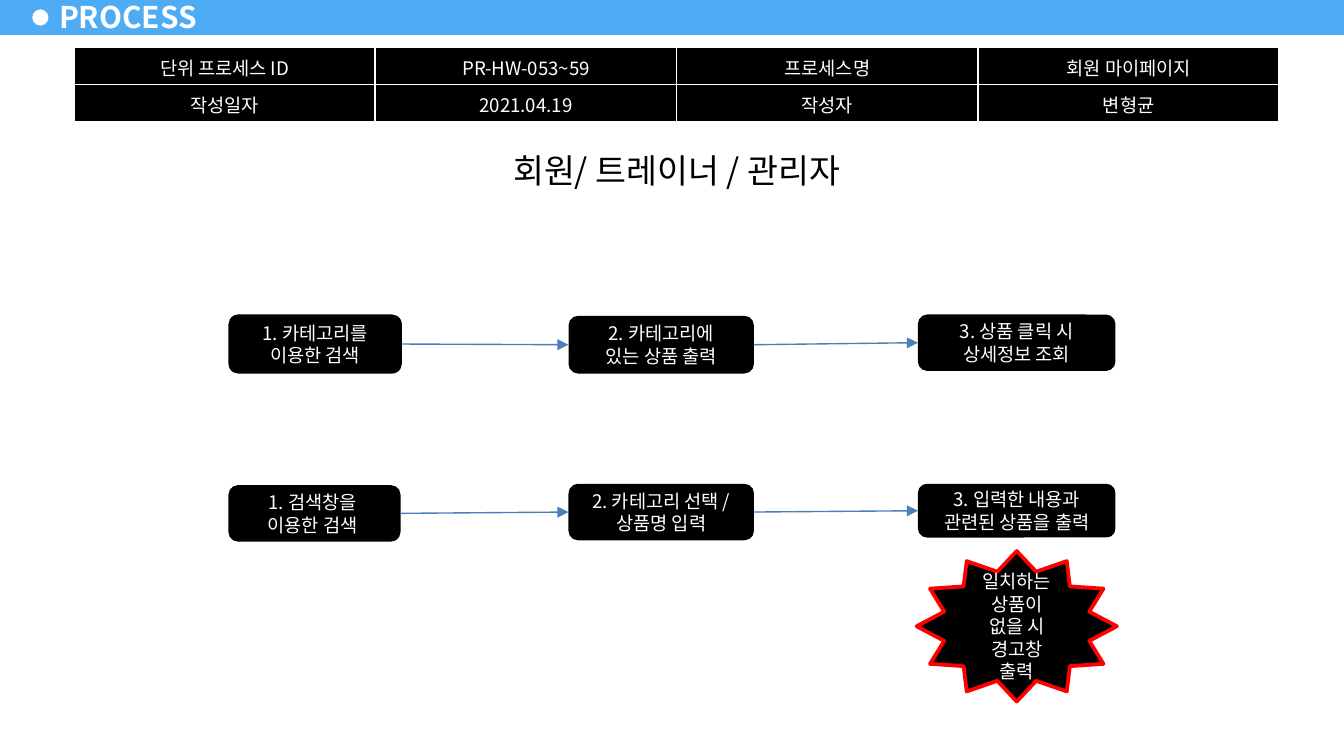
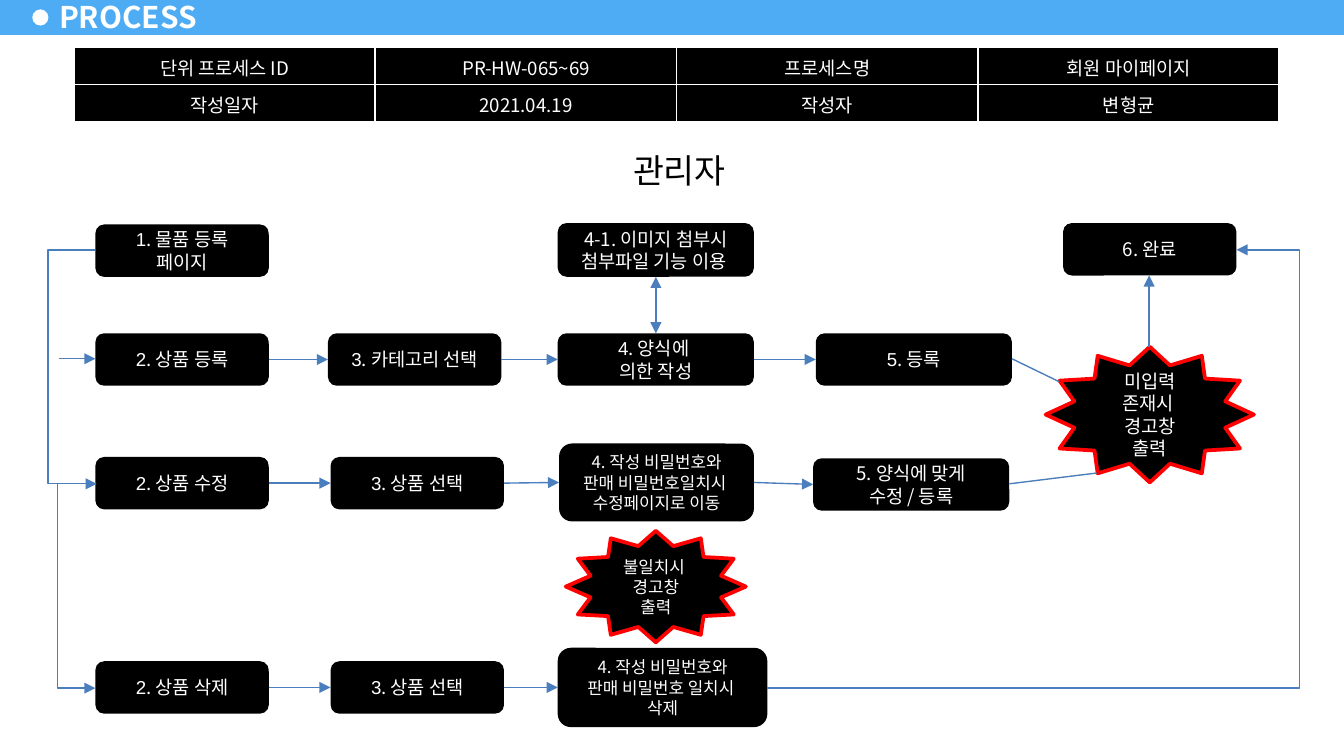
from dataclasses import dataclass
from itertools import pairwise
from typing import NamedTuple, Optional

from pptx import Presentation
from pptx.dml.color import RGBColor
from pptx.enum.shapes import MSO_CONNECTOR as Connector, MSO_SHAPE as Preset
from pptx.enum.text import MSO_ANCHOR as Anchor, MSO_AUTO_SIZE as AutoSize, PP_ALIGN as Align
from pptx.oxml.ns import qn
from pptx.util import Inches, Pt


@dataclass(frozen=True)
class Theme:
    band: RGBColor = RGBColor(0x4D, 0xAC, 0xF3)
    ink: RGBColor = RGBColor(0, 0, 0)
    paper: RGBColor = RGBColor(255, 255, 255)
    alert: RGBColor = RGBColor(255, 0, 0)
    arrow: RGBColor = RGBColor(0x4B, 0x7E, 0xBC)
    font: str = "Noto Sans CJK KR"
    digit_font: str = "Arial"
    title: int = 16
    role: int = 18
    body: int = 10
    small: int = 9
    arrow_width: float = 0.75
    alert_width: float = 2


THEME = Theme()
SLIDE_WIDTH = 10
SLIDE_HEIGHT = SLIDE_WIDTH * 9 / 16


class Area(NamedTuple):
    left: float
    top: float
    width: float
    height: float


class Step(NamedTuple):
    """A process step; digit is a step number set in the digit font."""
    area: Area
    text: str
    digit: str = ""
    size: int = THEME.body


class Warning(NamedTuple):
    area: Area
    text: str
    size: int = THEME.body


class Link(NamedTuple):
    """A line between two points; turn_x is where an elbow runs vertically."""
    start: tuple[float, float]
    end: tuple[float, float]
    turn_x: Optional[float] = None
    head: bool = False
    tail: bool = True


@dataclass(frozen=True)
class Process:
    process_id: str
    role: str
    role_area: Area
    flows: list[list[Step]]
    single_steps: list[Step]
    warnings: list[Warning]
    links: list[Link]


# Text and shapes

def set_font(font, size: int, color: RGBColor, name: str = THEME.font, bold: bool = False) -> None:
    font.size, font.bold, font.name = Pt(size), bold, name
    font.color.rgb = color
    east_asian = font._rPr.makeelement(qn("a:ea"), {"typeface": THEME.font})
    font._rPr.find(qn("a:latin")).addnext(east_asian)


def write(frame, text: str, size: int, color: RGBColor, digit: str = "",
          align: Align = Align.CENTER, bold: bool = False) -> None:
    frame.word_wrap = True
    frame.text = text
    for paragraph in frame.paragraphs:
        paragraph.alignment = align
        if not digit:
            set_font(paragraph.font, size, color, bold=bold)
    if digit:
        paragraph = frame.paragraphs[0]
        paragraph.text = ""
        for part, name in ((digit, THEME.digit_font), (text, THEME.font)):
            for line, piece in enumerate(part.split("\v")):
                if line:
                    paragraph.add_line_break()
                run = paragraph.add_run()
                run.text = piece
                set_font(run.font, size, color, name)


def add_preset(slide, preset: Preset, area: Area, fill: RGBColor):
    shape = slide.shapes.add_shape(preset, *map(Inches, area))
    shape.shadow.inherit = False
    shape.fill.solid()
    shape.fill.fore_color.rgb = fill
    shape.line.fill.background()
    return shape


def add_step(slide, step: Step):
    box = add_preset(slide, Preset.ROUNDED_RECTANGLE, step.area, THEME.ink)
    box.text_frame.vertical_anchor = Anchor.MIDDLE
    write(box.text_frame, step.text, step.size, THEME.paper, step.digit)
    return box


def add_warning(slide, warning: Warning) -> None:
    star = add_preset(slide, Preset.STAR_12_POINT, warning.area, THEME.ink)
    star.line.color.rgb = THEME.alert
    star.line.width = Pt(THEME.alert_width)
    star.text_frame.vertical_anchor = Anchor.MIDDLE
    write(star.text_frame, warning.text, warning.size, THEME.paper)


# Lines

def add_link(slide, link: Link):
    kind = Connector.STRAIGHT if link.turn_x is None else Connector.ELBOW
    line = slide.shapes.add_connector(kind, *map(Inches, link.start + link.end))
    line.line.color.rgb = THEME.arrow
    line.line.width = Pt(THEME.arrow_width)
    properties = line._element.spPr
    outline = properties.find(qn("a:ln"))
    for tag, wanted in (("a:headEnd", link.head), ("a:tailEnd", link.tail)):
        if wanted:
            outline.append(outline.makeelement(qn(tag), {"type": "triangle"}))
    properties.append(properties.makeelement(qn("a:effectLst"), {}))
    if link.turn_x is not None:
        ratio = (link.turn_x - link.start[0]) / (link.end[0] - link.start[0])
        guides = properties.find(qn("a:prstGeom")).get_or_add_avLst()
        guides.append(guides.makeelement(
            qn("a:gd"), {"name": "adj1", "fmla": f"val {round(ratio * 100000)}"}))
    return line


def add_flow(slide, steps: list[Step]) -> None:
    boxes = [add_step(slide, step) for step in steps]
    for before, after in pairwise(boxes):
        arrow = add_link(slide, Link((0, 0), (1, 0)))
        arrow.begin_connect(before, 3)
        arrow.end_connect(after, 1)


# Parts shared by the slides

def add_band(layout, slide) -> None:
    """Draw the band and its dot, then place them behind the layout's title."""
    band = add_preset(slide, Preset.RECTANGLE, Area(0, -0.02, SLIDE_WIDTH, 0.28), THEME.band)
    dot = add_preset(slide, Preset.OVAL, Area(0.24, 0.07, 0.12, 0.12), THEME.paper)
    for position, part in enumerate((band, dot), start=2):
        layout.shapes._spTree.insert(position, part._element)


def add_title(slide) -> None:
    title = slide.shapes.title
    title.left, title.top, title.width, title.height = map(Inches, (0.35, -0.04, 1.22, 0.32))
    frame = title.text_frame
    frame.auto_size = AutoSize.NONE
    frame.vertical_anchor = Anchor.MIDDLE
    frame.margin_left = frame.margin_right = Inches(0.09)
    frame.margin_top = frame.margin_bottom = Inches(0.04)
    write(frame, "PROCESS", THEME.title, THEME.paper, align=Align.LEFT, bold=True)


def add_summary(slide, process_id: str) -> None:
    rows = (("단위 프로세스 ID", process_id, "프로세스명", "회원 마이페이지"),
            ("작성일자", "2021.04.19", "작성자", "변형균"))
    summary = slide.shapes.add_table(2, 4, *map(Inches, (0.55, 0.35, 8.97, 0.56))).table
    summary.first_row = summary.horz_banding = False
    for row, texts in enumerate(rows):
        for column, text in enumerate(texts):
            cell = summary.cell(row, column)
            cell.fill.solid()
            cell.fill.fore_color.rgb = THEME.ink
            cell.vertical_anchor = Anchor.MIDDLE
            write(cell.text_frame, text, THEME.body, THEME.paper)


def add_role(slide, text: str, area: Area) -> None:
    role = add_preset(slide, Preset.RECTANGLE, area, THEME.paper)
    role.text_frame.vertical_anchor = Anchor.TOP
    write(role.text_frame, text, THEME.role, THEME.ink)
    role.text_frame.auto_size = AutoSize.SHAPE_TO_FIT_TEXT


def fill_slide(slide, process: Process) -> None:
    add_title(slide)
    add_role(slide, process.role, process.role_area)
    for flow in process.flows:
        add_flow(slide, flow)
    for step in process.single_steps:
        add_step(slide, step)
    for warning in process.warnings:
        add_warning(slide, warning)
    for link in process.links:
        add_link(slide, link)
    add_summary(slide, process.process_id)


# Content

SEARCH = Process(
    "PR-HW-053~59", "회원/ 트레이너 / 관리자", Area(3.25, 1.07, 3.57, 0.4),
    flows=[
        [Step(Area(1.7, 2.34, 1.29, 0.44), "1. 카테고리를\v이용한 검색"),
         Step(Area(4.23, 2.35, 1.38, 0.43), "2. 카테고리에\n있는 상품 출력"),
         Step(Area(6.83, 2.34, 1.47, 0.42), "3. 상품 클릭 시\n상세정보 조회")],
        [Step(Area(1.7, 3.61, 1.28, 0.42), "1. 검색창을 \v이용한 검색 "),
         Step(Area(4.23, 3.6, 1.38, 0.42), "2. 카테고리 선택 / 상품명 입력"),
         Step(Area(6.83, 3.6, 1.47, 0.4), "3. 입력한 내용과\n관련된 상품을 출력")],
    ],
    single_steps=[],
    warnings=[Warning(Area(6.82, 4.1, 1.49, 1.12), "일치하는\v상품이 없을 시\n경고창 출력")],
    links=[],
)


def goods_cell(left: float, top: float, width: float = 1.29) -> Area:
    return Area(left, top, width, 0.39)


REGISTER_TOP, EDIT_TOP, DELETE_TOP = 2.48, 3.4, 4.92
GOODS = Process(
    "PR-HW-065~69", "관리자", Area(4.02, 1.07, 2.07, 0.4),
    flows=[
        [Step(goods_cell(0.71, REGISTER_TOP), ". 상품 등록", "2"),
         Step(goods_cell(2.44, REGISTER_TOP), ". 카테고리 선택", "3"),
         Step(goods_cell(4.15, REGISTER_TOP, 1.46), ". 양식에 \v의한 작성", "4"),
         Step(goods_cell(6.07, REGISTER_TOP, 1.46), ". 등록", "5")],
        [Step(goods_cell(0.71, EDIT_TOP), ". 상품 수정", "2"),
         Step(goods_cell(2.46, EDIT_TOP), ". 상품 선택", "3"),
         Step(Area(4.16, 3.3, 1.45, 0.58),
              "4. 작성 비밀번호와\n판매 비밀번호일치시 \v수정페이지로 이동", size=THEME.small),
         Step(goods_cell(6.05, 3.41, 1.46), "5. 양식에 맞게\n수정 / 등록")],
        [Step(goods_cell(0.71, DELETE_TOP), ". 상품 삭제", "2"),
         Step(goods_cell(2.46, DELETE_TOP), ". 상품 선택", "3"),
         Step(Area(4.15, 4.82, 1.56, 0.59),
              "4. 작성 비밀번호와\n판매 비밀번호 일치시 \v삭제", size=THEME.small)],
    ],
    single_steps=[
        Step(goods_cell(0.71, 1.67), ". 물품 등록\v페이지", "1"),
        Step(Area(4.15, 1.66, 1.46, 0.4), "4-1. 이미지 첨부시 첨부파일 기능 이용 "),
        Step(goods_cell(7.91, 1.66), "6. 완료"),
    ],
    warnings=[
        Warning(Area(7.78, 2.58, 1.55, 1.01), "미입력 존재시 \v경고창\n출력"),
        Warning(Area(4.21, 3.95, 1.34, 0.83), "불일치시 \v경고창 출력", THEME.small),
    ],
    links=[
        Link((0.71, 1.86), (0.72, 3.6), turn_x=0.35),
        Link((0.43, 3.6), (0.71, 5.12), turn_x=0.43),
        Link((0.44, 2.67), (0.71, 2.67)),
        Link((4.88, 2.06), (4.88, 2.48), head=True),
        Link((7.53, 2.67), (7.88, 2.84), tail=False),
        Link((7.51, 3.6), (8.16, 3.52), tail=False),
        Link((8.55, 2.58), (8.55, 2.05)),
        Link((5.71, 5.12), (9.2, 1.86), turn_x=9.67),
    ],
)


def main() -> None:
    deck = Presentation()
    deck.slide_width, deck.slide_height = Inches(SLIDE_WIDTH), Inches(SLIDE_HEIGHT)
    title_only = deck.slide_layouts[5]
    for number, process in enumerate((SEARCH, GOODS)):
        slide = deck.slides.add_slide(title_only)
        if number == 0:
            add_band(title_only, slide)
        fill_slide(slide, process)
    deck.save("out.pptx")


if __name__ == "__main__":
    main()
